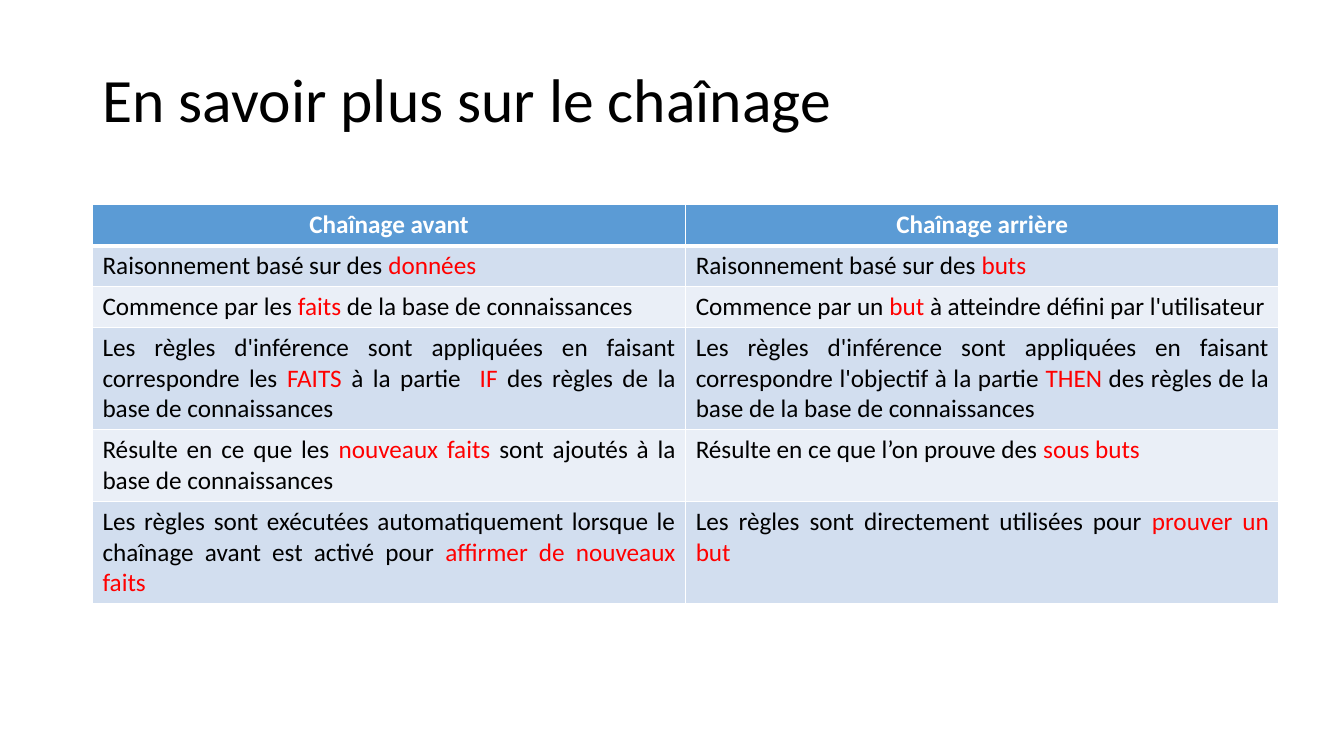
import pptx
import pptx.dml.color
import pptx.enum.text
import pptx.oxml
import pptx.oxml.ns
import pptx.util

Cm = pptx.util.Cm
ALIGN = pptx.enum.text.PP_ALIGN
FONT = "Calibri"
BLACK, WHITE, RED = "000000", "FFFFFF", "FF0000"
HEADER_FILL = "5B9BD5"
BAND_FILLS = ["D2DEEF", "EAEFF7"]

# Asterisks enclose the words shown in red
HEADERS = ["Chaînage avant", "Chaînage arrière"]
COMPARISON = [
    ("Raisonnement basé sur des *données*",
     "Raisonnement basé sur des *buts*"),
    ("Commence par les *faits* de la base de connaissances",
     "Commence par un *but *à atteindre défini par l'utilisateur"),
    ("Les règles d'inférence sont appliquées en faisant correspondre les "
     "*FAITS* à la partie  *IF* des règles de la base de connaissances",
     "Les règles d'inférence sont appliquées en faisant correspondre l'objectif "
     "à la partie *THEN* des règles de la base de la base de connaissances"),
    ("Résulte en ce que les *nouveaux faits *sont ajoutés à la base de connaissances",
     "Résulte en ce que l’on prouve des *sous buts*"),
    ("Les règles sont exécutées automatiquement lorsque le chaînage avant "
     "est activé pour *affirmer de nouveaux faits*",
     "Les règles sont directement utilisées pour *prouver un but*"),
]


def color(value):
    return pptx.dml.color.RGBColor.from_string(value)


def format_run(run, size, font_color, bold=False):
    run.font.name = FONT
    run.font.size = pptx.util.Pt(size)
    run.font.bold = bold
    run.font.color.rgb = color(font_color)


def add_title(slide, text):
    title = slide.shapes.title
    title.left, title.top = Cm(2.33), Cm(1.02)
    title.width, title.height = Cm(29.21), Cm(3.15)
    text_frame = title.text_frame
    text_frame.text = text
    text_frame.word_wrap = True
    text_frame.vertical_anchor = pptx.enum.text.MSO_ANCHOR.MIDDLE
    paragraph = text_frame.paragraphs[0]
    paragraph.alignment = ALIGN.LEFT
    paragraph.line_spacing = 0.9
    format_run(paragraph.runs[0], 44, BLACK)


def set_borders(cell, top, bottom):
    properties = cell._tc.get_or_add_tcPr()
    for side, points in (("L", 1), ("R", 1), ("T", top), ("B", bottom)):
        properties.append(pptx.oxml.parse_xml(
            f'<a:ln{side} {pptx.oxml.ns.nsdecls("a")} w="{pptx.util.Pt(points)}">'
            f'<a:solidFill><a:srgbClr val="{WHITE}"/></a:solidFill></a:ln{side}>'))


def fill_cell(cell, text, fill, font_color, alignment, bold=False, top=1, bottom=1):
    # Borders precede the fill in the cell properties
    set_borders(cell, top, bottom)
    cell.fill.solid()
    cell.fill.fore_color.rgb = color(fill)
    paragraph = cell.text_frame.paragraphs[0]
    paragraph.alignment = alignment
    for index, part in enumerate(text.split("*")):
        if part:
            run = paragraph.add_run()
            run.text = part
            format_run(run, 18, RED if index % 2 else font_color, bold)


def add_comparison_table(slide):
    row_count = len(COMPARISON) + 1
    row_height = Cm(1.03)
    table = slide.shapes.add_table(
        row_count, len(HEADERS), Cm(2.33), Cm(5.16), Cm(29.9), row_height * row_count).table
    for row in table.rows:
        row.height = row_height
    # Header row
    for column, text in enumerate(HEADERS):
        fill_cell(table.cell(0, column), text, HEADER_FILL, WHITE, ALIGN.CENTER,
                  bold=True, bottom=3)
    # Banded body rows
    for row, texts in enumerate(COMPARISON, start=1):
        for column, text in enumerate(texts):
            fill_cell(table.cell(row, column), text, BAND_FILLS[(row - 1) % 2],
                      BLACK, ALIGN.JUSTIFY, top=3 if row == 1 else 1)


def main():
    presentation = pptx.Presentation()
    presentation.slide_width, presentation.slide_height = Cm(33.87), Cm(19.05)
    title_only = presentation.slide_layouts[5]
    slide = presentation.slides.add_slide(title_only)
    add_title(slide, "En savoir plus sur le chaînage")
    add_comparison_table(slide)
    presentation.save("out.pptx")


if __name__ == "__main__":
    main()
